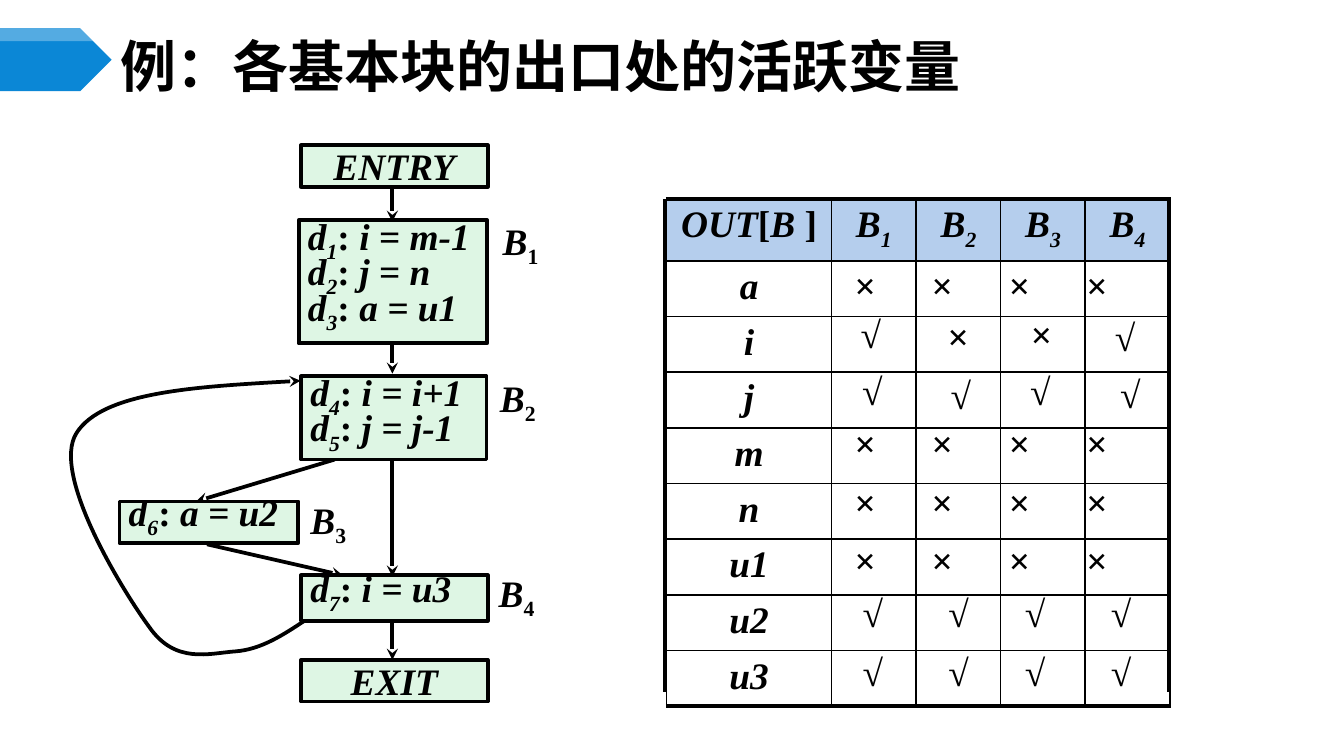
from dataclasses import dataclass
from lxml.etree import SubElement
from pptx import Presentation
from pptx.dml.color import RGBColor
from pptx.enum.shapes import MSO_CONNECTOR as Connector, MSO_SHAPE as Preset
from pptx.enum.text import MSO_ANCHOR as Anchor, PP_ALIGN as Align
from pptx.oxml import parse_xml
from pptx.oxml.ns import nsdecls, qn
from pptx.util import Pt


@dataclass(frozen=True)
class Theme:
    ink: str = "000000"
    white: str = "FFFFFF"
    accent: str = "0B87D6"
    block: str = "DEF6E4"
    header: str = "B5CEED"
    serif: str = "Times New Roman"
    heading: str = "Noto Sans CJK SC"
    title_size: float = 30
    body_size: float = 20
    stroke: float = 2
    rule: float = 1
    thick_rule: float = 2.25


THEME = Theme()
TITLE = "例：各基本块的出口处的活跃变量"
ITALIC, ROMAN, SUB_ITALIC, SUB_ROMAN = (True, False), (False, False), (True, True), (False, True)


def statement(number, code):
    return [("d", ITALIC), (number, SUB_ITALIC), (": ", ROMAN), (code, ITALIC)]


TERMINALS = [("ENTRY", 77.8), ("EXIT", 353.5)]
TALL, SHORT = (Anchor.TOP, (5, 4.3, 5, 0)), (Anchor.MIDDLE, (5, 0, 0, 0))
BLOCKS = [
    ((160, 118, 101, 66), TALL, [("1", "i = m-1"), ("2", "j = n"), ("3", "a = u1")]),
    ((161.3, 201.6, 99.4, 44.6), TALL, [("4", "i = i+1"), ("5", "j = j-1")]),
    ((64, 268.6, 95.8, 22.3), SHORT, [("6", "a = u2")]),
    ((161.3, 308.2, 100, 24.5), SHORT, [("7", "i = u3")]),
]
BLOCK_LABELS = [("1", 264.3, 113.8), ("2", 262.8, 198), ("3", 161.3, 263.5), ("4", 262.1, 302.4)]
SPINE = 210.2
ARROWS = [
    (SPINE, 100, SPINE, 118.8),
    (SPINE, 178.6, SPINE, 200.2),
    (SPINE, 240.5, SPINE, 308.9),
    (SPINE, 334, SPINE, 353.5),
    (179.3, 246.2, 105.1, 268.6),
    (110.9, 291.6, 183.6, 308.2),
]
LOOP_START = (164.2, 331.9)
LOOP_CURVE = [
    (151.9, 339.8), (139.7, 348.5), (126, 349.2),
    (111.6, 349.9), (94.3, 355.7), (79.9, 336.2),
    (65.5, 316.8), (27.4, 254.2), (41, 231.8),
    (54.7, 209.5), (108, 206.6), (161.3, 203.8),
]

VARIABLES = ["a", "i", "j", "m", "n", "u1", "u2", "u3"]
TABLE_LEFT, TABLE_TOP, ROW_HEIGHT = 357.1, 106.6, 29.44
COLUMN_WIDTHS = [88.4] + [45.3] * 4
SIDE_LINES = [356.4, 626.4]
DEAD_TABS, LIVE_TABS = (41.3, 82.7, 124.2), (46, 87, 133)
MARK_ROWS = [
    ("×", 450.7, 136.8, DEAD_TABS),
    ("×", 450.7, 221.8, DEAD_TABS),
    ("×", 450.7, 253.4, DEAD_TABS),
    ("×", 450.7, 284.4, DEAD_TABS),
    ("√", 455, 312.5, LIVE_TABS),
    ("√", 455, 344.2, LIVE_TABS),
]
SINGLE_MARKS = [
    ("√", 466.6, 163.4), ("×", 513.4, 164.2), ("×", 558, 163.4), ("√", 602.7, 164.9),
    ("√", 467.3, 193.7), ("√", 514.8, 195.8), ("√", 557.3, 193.7), ("√", 605.6, 195.1),
]


def points(values):
    return [Pt(value) for value in values]


def color(value):
    return RGBColor.from_string(value)


def set_font(font, name=THEME.serif, size=THEME.body_size):
    font.name, font.size, font.bold = name, Pt(size), True
    font.color.rgb = color(THEME.ink)


def write(para, runs, align=Align.LEFT):
    para.alignment = align
    set_font(para.font)
    for text, (italic, lowered) in runs:
        span = para.add_run()
        span.text = text
        span.font.italic = italic
        if lowered:
            span._r.get_or_add_rPr().set("baseline", "-25000")


def set_frame(frame, insets, anchor=Anchor.TOP, wrap=True):
    frame.margin_left, frame.margin_top, frame.margin_right, frame.margin_bottom = points(insets)
    frame.vertical_anchor, frame.word_wrap = anchor, wrap
    return frame


def add_text(page, area, insets=(7.2, 3.6, 7.2, 3.6), anchor=Anchor.TOP, wrap=True):
    return set_frame(page.shapes.add_textbox(*points(area)).text_frame, insets, anchor, wrap)


def paint(shape, fill):
    shape.shadow.inherit = False
    shape.fill.solid()
    shape.fill.fore_color.rgb = color(fill)
    shape.line.fill.background()


def draw_line(shape, arrow=False):
    shape.line.color.rgb, shape.line.width = color(THEME.ink), Pt(THEME.stroke)
    if arrow:
        SubElement(shape.line._get_or_add_ln(), qn("a:tailEnd"), type="stealth")


def add_line(page, ends, arrow=False):
    line = page.shapes.add_connector(Connector.STRAIGHT, *points(ends))
    draw_line(line, arrow)
    SubElement(line._element.spPr, qn("a:effectLst"))


def add_block(page, area, anchor, insets):
    block = page.shapes.add_shape(Preset.RECTANGLE, *points(area))
    paint(block, THEME.block)
    draw_line(block)
    return set_frame(block.text_frame, insets, anchor)


def add_polyline(page, corners, close):
    builder = page.shapes.build_freeform(*corners[0], scale=Pt(1))
    builder.add_line_segments(corners[1:], close=close)
    return builder.convert_to_shape()


def add_heading(page):
    paint(page.shapes.add_shape(Preset.PENTAGON, *points((0, 15.1, 59.8, 33.8))), THEME.accent)
    gloss = add_polyline(page, [(0, 15.1), (42.9, 15.1), (50.3, 22.5), (0, 22.5)], True)
    paint(gloss, THEME.white)
    SubElement(next(gloss._element.spPr.iter(qn("a:srgbClr"))), qn("a:alpha"), val="30000")
    para = add_text(page, (59.8, 20.9, 624.2, 28.1), (5, 2.9, 5, 2.9), Anchor.MIDDLE).paragraphs[0]
    para.text = TITLE
    set_font(para.font, THEME.heading, THEME.title_size)
    SubElement(para.font._element, qn("a:ea"), typeface=THEME.heading)


def add_loop(page):
    loop = add_polyline(page, [LOOP_START] + LOOP_CURVE, False)
    loop.shadow.inherit = False
    loop.fill.background()
    draw_line(loop, True)
    outline = next(loop._element.iter(qn("a:path")))
    segments = outline.findall(qn("a:lnTo"))
    for start in range(0, len(segments), 3):
        curve = SubElement(outline, qn("a:cubicBezTo"))
        for segment in segments[start:start + 3]:
            curve.append(segment[0])
            outline.remove(segment)


def add_flow(page):
    for ends in ARROWS:
        add_line(page, ends, True)
    add_loop(page)
    for name, top in TERMINALS:
        frame = add_block(page, (161.3, top, 100, 22.3), Anchor.BOTTOM, (5, 2.2, 5, 0))
        write(frame.paragraphs[0], [(name, ITALIC)], Align.CENTER)
        frame.paragraphs[0].line_spacing = 0.7
    for area, (anchor, insets), statements in BLOCKS:
        frame = add_block(page, area, anchor, insets)
        for index, parts in enumerate(statements):
            para = frame.add_paragraph() if index else frame.paragraphs[0]
            write(para, statement(*parts), Align.JUSTIFY)
            para.line_spacing = Pt(19)
    for number, left, top in BLOCK_LABELS:
        frame = add_text(page, (left, top, 49, 26), (5, 2.9, 5, 2.9))
        write(frame.paragraphs[0], [("B", ITALIC), (number, SUB_ROMAN)])


def set_borders(cell, widths):
    for index, (side, width) in enumerate(widths.items()):
        cell._tc.get_or_add_tcPr().insert(index, parse_xml(
            f'<a:ln{side} {nsdecls("a")} w="{Pt(width)}"><a:solidFill>'
            f'<a:srgbClr val="{THEME.ink}"/></a:solidFill></a:ln{side}>'))


def add_table(page):
    header = [[("OUT", ITALIC), ("[", ROMAN), ("B", ITALIC), (" ]", ROMAN)]]
    header += [[("B", ITALIC), (number, SUB_ITALIC)] for number in "1234"]
    rows = [header] + [[[(name, ITALIC)], [], [], [], []] for name in VARIABLES]
    area = (TABLE_LEFT, TABLE_TOP, sum(COLUMN_WIDTHS), ROW_HEIGHT * len(rows))
    table = page.shapes.add_table(len(rows), len(header), *points(area)).table
    for column, width in zip(table.columns, COLUMN_WIDTHS):
        column.width = Pt(width)
    for y, row in enumerate(rows):
        table.rows[y].height = Pt(ROW_HEIGHT)
        for x, runs in enumerate(row):
            cell = table.cell(y, x)
            cell.margin_left, cell.margin_top, cell.margin_right, cell.margin_bottom = points((5, 2.9, 5, 2.9))
            write(cell.text_frame.paragraphs[0], runs, Align.CENTER)
            if y:
                cell.fill.background()
            else:
                cell.fill.solid()
                cell.fill.fore_color.rgb = color(THEME.header)
            set_borders(cell, {
                "L": THEME.rule, "R": THEME.rule,
                "T": THEME.rule if y else THEME.thick_rule,
                "B": THEME.rule if y < len(rows) - 1 else THEME.thick_rule})
    for x in SIDE_LINES:
        add_line(page, (x, TABLE_TOP, x, 370.8))


def add_marks(page):
    for mark, left, top, stops in MARK_ROWS:
        para = add_text(page, (left, top, 187, 31.7)).paragraphs[0]
        tabs = SubElement(para._p.get_or_add_pPr(), qn("a:tabLst"))
        for stop in stops:
            SubElement(tabs, qn("a:tab"), pos=str(Pt(stop)), algn="l")
        write(para, [("\t".join(mark * 4), ROMAN)])
    for mark, center, top in SINGLE_MARKS:
        frame = add_text(page, (center - 13, top, 26, 31.7), wrap=False)
        write(frame.paragraphs[0], [(mark, ROMAN)], Align.CENTER)


def main():
    """Build the live-variable slide."""
    deck = Presentation()
    deck.slide_width, deck.slide_height = Pt(720), Pt(405)
    page = deck.slides.add_slide(deck.slide_layouts[6])
    for add_part in (add_heading, add_table, add_marks, add_flow):
        add_part(page)
    deck.save("out.pptx")


if __name__ == "__main__":
    main()
